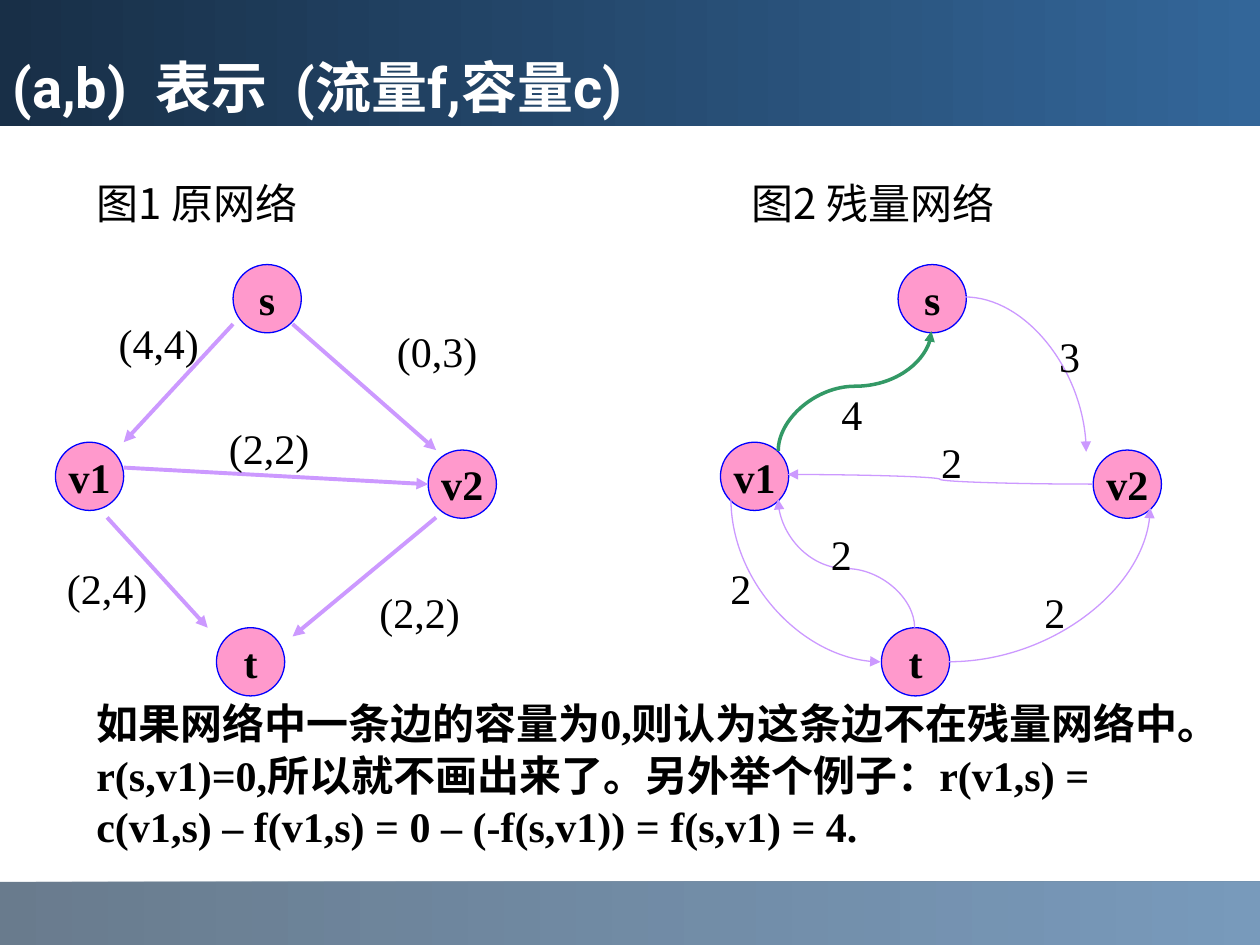
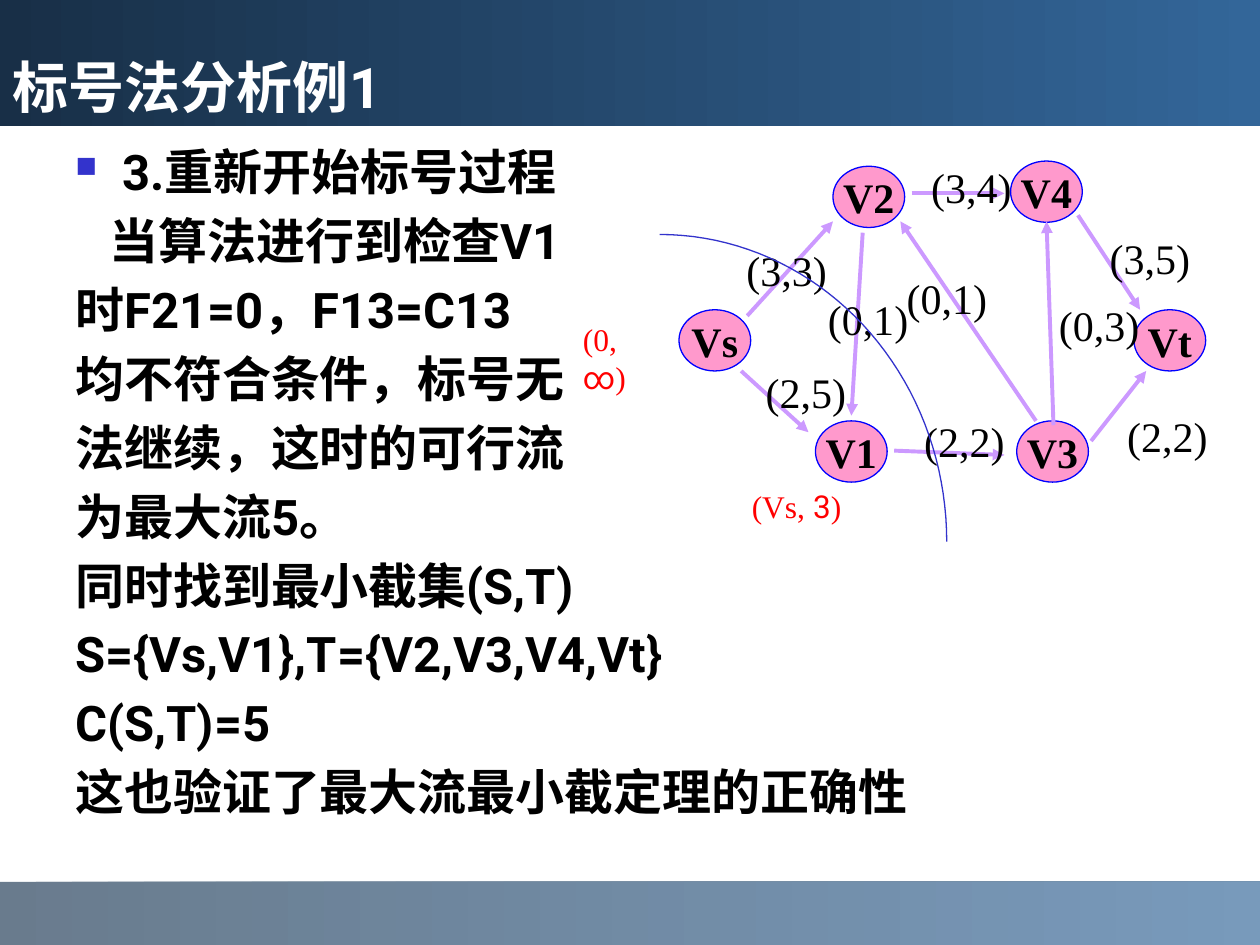
import math
from dataclasses import dataclass

import pptx
import pptx.util
import pptx.dml.color
import pptx.enum.shapes
import pptx.enum.text
import pptx.oxml
import pptx.oxml.ns
from lxml import etree

Pt = pptx.util.Pt
SHAPES = pptx.enum.shapes.MSO_SHAPE
CONNECTORS = pptx.enum.shapes.MSO_CONNECTOR
ANCHOR = pptx.enum.text.MSO_ANCHOR
ALIGN = pptx.enum.text.PP_ALIGN
AUTO_SIZE = pptx.enum.text.MSO_AUTO_SIZE
qn = pptx.oxml.ns.qn


@dataclass(frozen=True)
class Theme:
    sans: str = "Roboto"
    serif: str = "Times New Roman"
    chinese: str = "Noto Sans CJK SC"
    title_size: float = 32
    body_size: float = 28
    text_size: float = 24
    small_size: float = 18
    white: str = "FFFFFF"
    black: str = "000000"
    red: str = "FF0000"
    navy: str = "182F47"
    footer_navy: str = "1C3853"
    steel: str = "336699"
    node_fill: str = "FF99CC"
    node_line: str = "0000FF"
    edge: str = "CC99FF"
    reverse_edge: str = "339966"
    accent: str = "3333CC"


THEME = Theme()
WIDTH, HEIGHT = 720, 540
TITLE_HEIGHT, FOOTER_HEIGHT = 72, 36
LABEL_HEIGHT = 37


def rgb(value):
    return pptx.dml.color.RGBColor.from_string(value)


def points(*lengths):
    return [Pt(length) for length in lengths]


def child(parent, tag, **attributes):
    return etree.SubElement(parent, qn(tag), attributes)


# Text
def add_run(paragraph, text, size, font=THEME.serif, color=THEME.black, bold=False):
    run = paragraph.add_run()
    run.text = text
    run.font.size = Pt(size)
    run.font.name = font
    run.font.bold = bold
    run.font.color.rgb = rgb(color)
    child(run.font._element, "a:ea", typeface=THEME.sans)


def add_text_box(shapes, left, top, width, height, wrap=True):
    frame = shapes.add_textbox(*points(left, top, width, height)).text_frame
    frame.word_wrap = wrap
    frame.auto_size = AUTO_SIZE.NONE
    return frame


def add_passage(slide, box, text, font, line_spacing, bold=False):
    paragraph = add_text_box(slide.shapes, *box).paragraphs[0]
    paragraph.line_spacing = Pt(line_spacing)
    add_run(paragraph, text, THEME.text_size, font, bold=bold)


# Shared title and footer
def fill_gradient(shape, start, end, alpha=None):
    shape.fill.gradient()
    shape.fill.gradient_angle = 0
    for stop, color in zip(shape.fill.gradient_stops, (start, end)):
        stop.color.rgb = rgb(color)
    if alpha:
        for color in shape.element.spPr.iter(qn("a:srgbClr")):
            child(color, "a:alpha", val=str(alpha * 1000))
    shape.line.fill.background()


def add_slide(presentation, title_text):
    slide = presentation.slides.add_slide(presentation.slide_layouts[5])
    footer = slide.shapes.add_shape(
        SHAPES.RECTANGLE, *points(0, HEIGHT - FOOTER_HEIGHT, WIDTH, FOOTER_HEIGHT))
    footer.shadow.inherit = False
    fill_gradient(footer, THEME.footer_navy, THEME.steel, alpha=66)

    title = slide.shapes.title
    title.left, title.top, title.width, title.height = points(0, 0, WIDTH, TITLE_HEIGHT)
    fill_gradient(title, THEME.navy, THEME.steel)
    frame = title.text_frame
    frame.auto_size = AUTO_SIZE.NONE
    frame.vertical_anchor = ANCHOR.BOTTOM
    frame.paragraphs[0].alignment = ALIGN.LEFT
    add_run(frame.paragraphs[0], title_text, THEME.title_size, THEME.sans, THEME.white, True)
    return slide


# Parts of a network
def add_node(shapes, name, left, top, width, height):
    node = shapes.add_shape(SHAPES.OVAL, *points(left, top, width, height))
    node.shadow.inherit = False
    node.fill.solid()
    node.fill.fore_color.rgb = rgb(THEME.node_fill)
    node.line.color.rgb = rgb(THEME.node_line)
    node.line.width = Pt(0.75)
    frame = node.text_frame
    frame.word_wrap = False
    frame.vertical_anchor = ANCHOR.MIDDLE
    frame.paragraphs[0].alignment = ALIGN.CENTER
    add_run(frame.paragraphs[0], name, THEME.text_size, bold=True)


def style_arrow(connector, color, width):
    connector.line.color.rgb = rgb(color)
    connector.line.width = Pt(width)
    properties = connector.element.spPr
    child(properties.find(qn("a:ln")), "a:tailEnd", type="triangle")
    child(properties, "a:effectLst")


def add_edge(shapes, x1, y1, x2, y2):
    connector = shapes.add_connector(CONNECTORS.STRAIGHT, *points(x1, y1, x2, y2))
    style_arrow(connector, THEME.edge, 2.25)


def add_curve(shapes, x1, y1, x2, y2, kind, vertical=False, bend=None,
              color=THEME.edge, width=0.75):
    """A vertical curve leaves its start upwards or downwards: its frame is turned."""
    turn = 0
    if vertical:
        turn = 270 if x2 > x1 else 90
        center_x, center_y = (x1 + x2) / 2, (y1 + y2) / 2
        half_x = (y1 - y2) / 2 if turn == 270 else (y2 - y1) / 2
        half_y = abs(x2 - x1) / 2
        x1, x2 = center_x - half_x, center_x + half_x
        y1, y2 = center_y - half_y, center_y + half_y
    connector = shapes.add_connector(CONNECTORS.CURVE, *points(x1, y1, x2, y2))
    properties = connector.element.spPr
    if turn:
        properties.find(qn("a:xfrm")).set("rot", str(turn * 60000))
    geometry = properties.find(qn("a:prstGeom"))
    geometry.set("prst", f"curvedConnector{kind}")
    if bend:
        child(geometry.find(qn("a:avLst")), "a:gd", name="adj1",
              fmla=f"val {round(bend * 100000)}")
    style_arrow(connector, color, width)


def add_network(slide, left, top, node_size, nodes, labels, edges=(), curves=()):
    shapes = slide.shapes.add_group_shape().shapes

    def place(x1, y1, x2, y2):
        return left + x1, top + y1, left + x2, top + y2

    for name, (x, y) in nodes.items():
        add_node(shapes, name, left + x, top + y, *node_size)
    for ends in edges:
        add_edge(shapes, *place(*ends))
    for ends, options in curves:
        add_curve(shapes, *place(*ends), **options)
    for text, x, y in labels:
        width = 60.5 if len(text) > 1 else 26.5
        frame = add_text_box(shapes, left + x, top + y, width, LABEL_HEIGHT, wrap=False)
        add_run(frame.paragraphs[0], text, THEME.text_size)


# Slide 1: flow network beside its residual network
FLOW_NODES = {"v1": (0, 101.5), "t": (92, 207.5), "s": (101.5, 0), "v2": (213, 106)}
FLOW_EDGES = [
    (101.5, 34, 39, 101.5), (39, 116, 213, 125.5), (135.5, 34, 217.5, 106),
    (217.5, 144.5, 135.5, 212.5), (29.5, 144.5, 87, 207.5),
]
FLOW_LABELS = [
    ("(2,2)", 92, 86.5), ("(4,4)", 29, 26.5), ("(2,4)", -0.5, 166.5),
    ("(0,3)", 188, 31), ("(2,2)", 178, 180.5),
]
RESIDUAL_CURVES = [
    ((33, 106.5, 120.5, 38), dict(kind=3, vertical=True, bend=0.54,
                                  color=THEME.reverse_edge, width=2)),
    ((212.5, 125.5, 38.5, 120), dict(kind=3)),
    ((6, 134, 91.5, 227), dict(kind=2, vertical=True)),
    ((111, 207.5, 33, 134), dict(kind=3, vertical=True, bend=0.46)),
    ((130.5, 227, 245.5, 139), dict(kind=2)),
    ((139.5, 18.5, 209, 107), dict(kind=2)),
]
RESIDUAL_LABELS = [
    ("2", -1.5, 166.5), ("3", 186.5, 34), ("2", 178, 180.5),
    ("4", 62, 67), ("2", 119, 94.5), ("2", 56, 147),
]


def build_residual_slide(presentation):
    slide = add_slide(presentation, "(a,b)  表示  (流量f,容量c)")
    node_size = (39, 39)
    add_network(slide, 31.7, 151.2, node_size, FLOW_NODES, FLOW_LABELS, edges=FLOW_EDGES)
    add_network(slide, 411.7, 151.2, node_size, FLOW_NODES, RESIDUAL_LABELS,
                curves=RESIDUAL_CURVES)
    add_passage(
        slide, (48, 394.5, 646.5, 95),
        "如果网络中一条边的容量为0,则认为这条边不在残量网络中。r(s,v1)=0,所以就不画出来了。"
        "另外举个例子：r(v1,s) = c(v1,s) – f(v1,s) = 0 – (-f(s,v1)) = f(s,v1) = 4.",
        THEME.serif, 29.4, bold=True)
    for left, width, caption in ((48, 135, "图1 原网络"), (422.5, 160, "图2 残量网络")):
        add_passage(slide, (left, 98, width, LABEL_HEIGHT), caption, THEME.chinese, 28.6)


# Slide 2: labelling steps beside the network and its cut
STEPS = [
    "3.重新开始标号过程", "当算法进行到检查V1", "时F21=0，F13=C13",
    "均不符合条件，标号无", "法继续，这时的可行流", "为最大流5。",
    "同时找到最小截集(S,T)", "S={Vs,V1},T={V2,V3,V4,Vt}", "C(S,T)=5",
    "这也验证了最大流最小截定理的正确性",
]
CUT_NODES = {
    "V2": (88, 3), "Vt": (260, 85), "Vs": (0, 85),
    "V1": (78, 148.5), "V4": (189.5, 0), "V3": (193, 148.5),
}
CUT_EDGES = [
    (39, 88.5, 88, 34.5), (35.5, 120, 74, 155), (133, 18.5, 186, 18.5),
    (123, 165.5, 186, 168), (228, 31, 263.5, 85), (235.5, 160, 267, 120),
    (105, 41, 98.5, 145.5), (204, 148.5, 126.5, 34.5), (214, 151, 210, 34.5),
]
CUT_LABELS = [
    ("(3,3)", 31.5, 44), ("(2,5)", 42.5, 114), ("(3,4)", 137, -3.5),
    ("(3,5)", 239, 37.5), ("(0,1)", 78, 72), ("(0,1)", 123, 60),
    ("(2,2)", 133, 142), ("(2,2)", 249, 139), ("(0,3)", 210, 75.5),
]


def add_steps(slide, left, top, width, height):
    frame = add_text_box(slide.shapes, left, top, width, height)
    hanging = 27
    for index, text in enumerate(STEPS):
        paragraph = frame.add_paragraph() if index else frame.paragraphs[0]
        paragraph.line_spacing = Pt(32.8)
        paragraph.space_before = Pt(6.6)
        first_line = 19.5 if index == 1 else 0
        properties = paragraph._p.get_or_add_pPr()
        properties.set("marL", str(Pt(hanging)))
        properties.set("indent", str(Pt(first_line - hanging)))
        if index == 0:
            child(child(properties, "a:buClr"), "a:srgbClr", val=THEME.accent)
            child(properties, "a:buSzPct", val="60000")
            child(properties, "a:buChar", char="■")
        add_run(paragraph, text, THEME.body_size, THEME.sans, bold=True)


def add_vertex_mark(slide, left, top, width, opening, value, wrap):
    paragraph = add_text_box(slide.shapes, left, top, width, 29.5, wrap).paragraphs[0]
    for text, font in ((opening, THEME.serif), (value, THEME.sans), (")", THEME.serif)):
        add_run(paragraph, text, THEME.small_size, font, THEME.red)


def add_cut_line(slide, left, top, width, height, segments=40):
    angles = [math.pi / 2 * step / segments for step in range(segments + 1)]
    outline = [(Pt(left + width * math.sin(angle)), Pt(top + height * (1 - math.cos(angle))))
               for angle in angles]
    builder = slide.shapes.build_freeform(*outline[0])
    builder.add_line_segments(outline[1:], close=False)
    cut = builder.convert_to_shape()
    cut.shadow.inherit = False
    cut.fill.background()
    cut.line.color.rgb = rgb(THEME.accent)
    cut.line.width = Pt(0.75)


def build_labelling_slide(presentation):
    slide = add_slide(presentation, "标号法分析例1")
    add_steps(slide, 36, 78, 648, 420)
    add_network(slide, 388, 92, (41, 35), CUT_NODES, CUT_LABELS, edges=CUT_EDGES)
    add_vertex_mark(slide, 326, 179.5, 61, "(0, ", "∞", wrap=True)
    add_vertex_mark(slide, 422.5, 275, 65.5, "(Vs, ", "3", wrap=False)
    add_cut_line(slide, 377, 134, 164, 175.5)


def main():
    presentation = pptx.Presentation()
    presentation.slide_width, presentation.slide_height = points(WIDTH, HEIGHT)
    build_residual_slide(presentation)
    build_labelling_slide(presentation)
    presentation.save("out.pptx")


if __name__ == "__main__":
    main()
